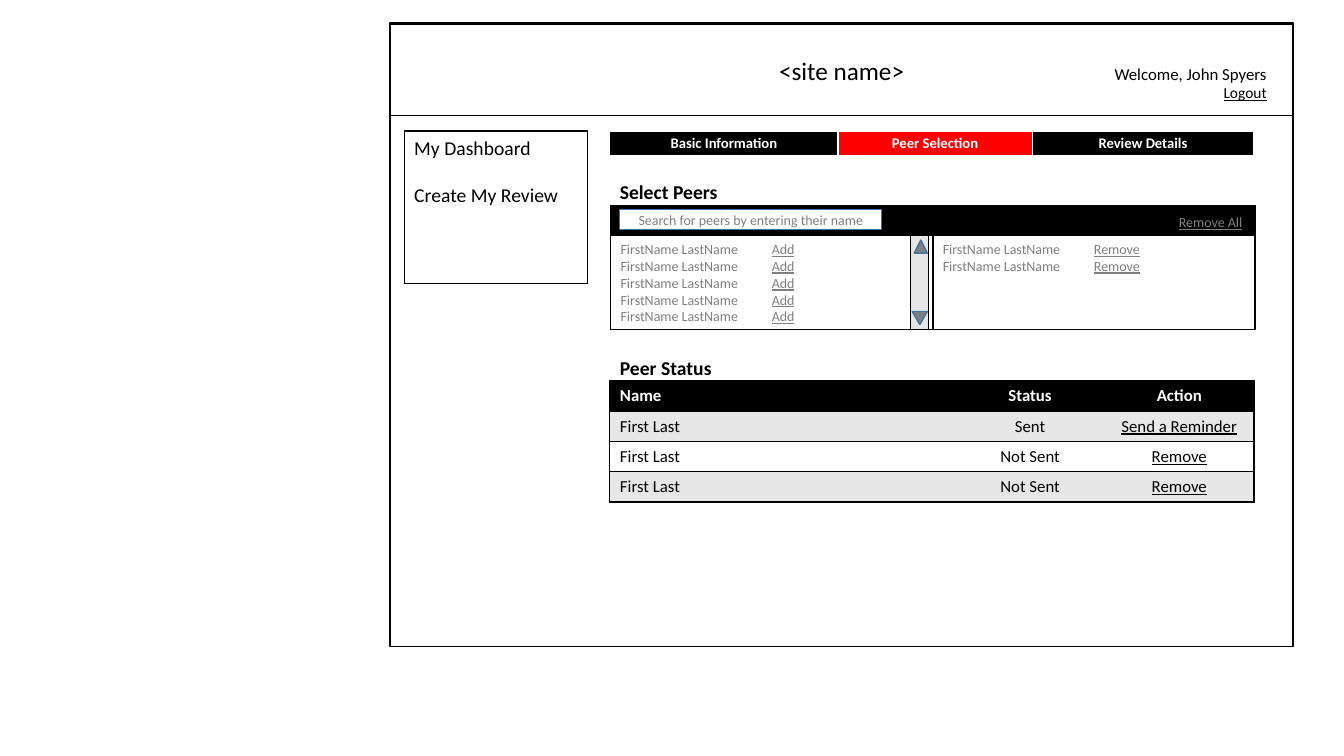
from lxml.etree import SubElement
from pptx import Presentation
from pptx.dml.color import RGBColor
from pptx.enum.shapes import MSO_CONNECTOR, MSO_SHAPE
from pptx.enum.text import MSO_ANCHOR, PP_ALIGN
from pptx.oxml.ns import qn
from pptx.util import Cm, Pt

COLORS = {
    "black": "000000", "white": "FFFFFF", "red": "FF0000", "gray": "808080",
    "band": "E7E7E7", "track": "E7E6E6", "blue": "43739E",
}
LEFT, CENTER, RIGHT = PP_ALIGN.LEFT, PP_ALIGN.CENTER, PP_ALIGN.RIGHT


def rgb(name):
    """Return the named colour."""
    return RGBColor.from_string(COLORS[name])


def style_font(font, size, color, bold=False, underline=False):
    """Set the Calibri font used on the whole page."""
    font.name, font.size = "Calibri", Pt(size)
    font.bold, font.underline = bold, underline
    font.color.rgb = rgb(color)


def write(tf, lines, size, color="black", align=LEFT, gap=0, **style):
    """Write one paragraph per line; a (label, link) pair underlines the link."""
    for i, line in enumerate(lines):
        p = tf.paragraphs[0] if i == 0 else tf.add_paragraph()
        p.alignment = align
        p.space_before = Pt(gap if i else 0)
        if isinstance(line, str):
            p.text = line
            style_font(p.font, size, color, **style)
        else:
            style_font(p.font, size, color)
            for part, text in enumerate(line):
                r = p.add_run()
                r.text = text
                r.font.underline = part == 1


def add_box(s, x, y, w, h, fill="white", line="black", kind=MSO_SHAPE.RECTANGLE):
    """Add an outlined shape and return it."""
    sp = s.shapes.add_shape(kind, Cm(x), Cm(y), Cm(w), Cm(h))
    sp.shadow.inherit = False
    if fill:
        sp.fill.solid()
        sp.fill.fore_color.rgb = rgb(fill)
    else:
        sp.fill.background()
    sp.line.color.rgb = rgb(line)
    sp.line.width = Pt(1)
    sp.text_frame.word_wrap = True
    sp.text_frame.vertical_anchor = MSO_ANCHOR.TOP
    return sp


def add_label(s, x, y, w, h, lines, size, **style):
    """Add an unwrapped text box and return its text frame."""
    tf = s.shapes.add_textbox(Cm(x), Cm(y), Cm(w), Cm(h)).text_frame
    tf.word_wrap = False
    write(tf, lines, size, **style)
    return tf


def add_divider(s, x, top, bottom):
    """Add a vertical line."""
    c = s.shapes.add_connector(MSO_CONNECTOR.STRAIGHT, Cm(x), Cm(top), Cm(x), Cm(bottom))
    c.line.color.rgb = rgb("black")
    c.line.width = Pt(1.5)
    SubElement(c._element.spPr, qn("a:effectLst"))


def set_borders(cell, color, widths):
    """Draw the sides given in widths and blank the others."""
    tc_pr = cell._tc.get_or_add_tcPr()
    for side in "LRTB":
        width = widths.get(side, 0)
        ln = SubElement(tc_pr, qn(f"a:ln{side}"), w=str(Pt(width)))
        if width:
            fill = SubElement(ln, qn("a:solidFill"))
            SubElement(fill, qn("a:srgbClr"), val=COLORS[color])
        else:
            SubElement(ln, qn("a:noFill"))


def add_grid(s, x, y, widths, row_height, rows):
    """Add a plain table with the given number of rows."""
    frame = s.shapes.add_table(rows, len(widths), Cm(x), Cm(y),
                               Cm(sum(widths)), Cm(row_height * rows))
    table = frame.table
    table.horz_banding = False
    for col, width in zip(table.columns, widths):
        col.width = Cm(width)
    for row in table.rows:
        row.height = Cm(row_height)
    return table


def fill_cell(cell, text, fill, border, widths, size, color, align, **style):
    """Set the borders, fill and text of a cell."""
    set_borders(cell, border, widths)
    cell.fill.solid()
    cell.fill.fore_color.rgb = rgb(fill)
    write(cell.text_frame, [text], size, color, align, **style)


def add_header(s):
    """Add the page frame, site name, greeting and menu."""
    add_box(s, 9.83, 0.58, 22.76, 15.72)
    header = add_box(s, 9.83, 0.61, 22.76, 2.31)
    header.text_frame.vertical_anchor = MSO_ANCHOR.MIDDLE
    write(header.text_frame, ["<site name>"], 18, align=CENTER)
    tf = add_label(s, 27.84, 1.47, 4.42, 1.27, ["Welcome, John Spyers", "Logout"], 12)
    logout = tf.paragraphs[1]
    logout.alignment = RIGHT
    style_font(logout.font, 11, "black", underline=True)
    menu = add_box(s, 10.19, 3.3, 4.62, 3.84)
    write(menu.text_frame, ["My Dashboard", "Create My Review"], 14, gap=17)


def add_steps(s):
    """Add the row of steps with the current one in red."""
    steps = ["Basic Information", "Peer Selection", "Review Details"]
    table = add_grid(s, 15.37, 3.3, [5.75, 4.89, 5.59], 0.64, 1)
    for i, step in enumerate(steps):
        cell = table.cell(0, i)
        cell.margin_top = cell.margin_bottom = Cm(0.08)
        fill_cell(cell, step, "red" if i == 1 else "black", "white",
                  {"L": 1, "R": 1, "T": 1, "B": 3}, 10.5, "white", CENTER, bold=True)


def add_peer_picker(s):
    """Add the search bar, both peer lists and the scrollbar."""
    left, top, bottom, half = 15.39, 5.94, 8.31, 8.12
    height = bottom - top
    add_label(s, 15.37, 4.42, 3, 0.86, ["Select Peers"], 14, bold=True)
    add_box(s, left, 5.18, 2 * half, bottom - 5.18)
    add_box(s, left, 5.18, 2 * half, 0.74, "black")
    search = add_box(s, 15.62, 5.28, 6.6, 0.51, line="blue").text_frame
    search.vertical_anchor = MSO_ANCHOR.MIDDLE
    write(search, ["Search for peers by entering their name"], 10, "gray", CENTER)
    add_label(s, 29.46, 5.26, 2.13, 0.69, ["Remove All"], 10, color="gray", underline=True)
    add_divider(s, left + half, top, bottom)
    for i, (link, count) in enumerate([("Add", 5), ("Remove", 2)]):
        peers = add_box(s, left + i * half, top, half, height)
        write(peers.text_frame, [("FirstName LastName\t", link)] * count, 10, "gray")
    add_box(s, 22.94, top, 0.46, height, "track")
    add_box(s, 23.04, 6.05, 0.33, 0.33, "gray", "blue", MSO_SHAPE.ISOSCELES_TRIANGLE)
    down = add_box(s, 22.99, 7.85, 0.38, 0.33, "gray", "blue", MSO_SHAPE.ISOSCELES_TRIANGLE)
    down.rotation = 180


def add_peer_status(s):
    """Add the table of peers with status and action."""
    rows = [
        ("Name", "Status", "Action"),
        ("First Last", "Sent", "Send a Reminder"),
        ("First Last", "Not Sent", "Remove"),
        ("First Last", "Not Sent", "Remove"),
    ]
    table = add_grid(s, 15.37, 9.6, [8.71, 3.76, 3.76], 0.76, len(rows))
    for r, row in enumerate(rows):
        head = r == 0
        fill = "black" if head else ("white", "band")[r % 2]
        for c, text in enumerate(row):
            sides = "TB" + ("L", "", "R")[c]
            fill_cell(table.cell(r, c), text, fill, "black", dict.fromkeys(sides, 1),
                      12, "white" if head else "black", CENTER if c else LEFT,
                      bold=head, underline=c == 2 and not head)
    add_label(s, 15.37, 8.84, 2.84, 0.86, ["Peer Status"], 14, bold=True)


def main():
    """Build the peer selection page."""
    prs = Presentation()
    prs.slide_width, prs.slide_height = Cm(33.87), Cm(19.05)
    s = prs.slides.add_slide(prs.slide_layouts[6])
    add_header(s)
    add_steps(s)
    add_peer_picker(s)
    add_peer_status(s)
    prs.save("out.pptx")


main()
